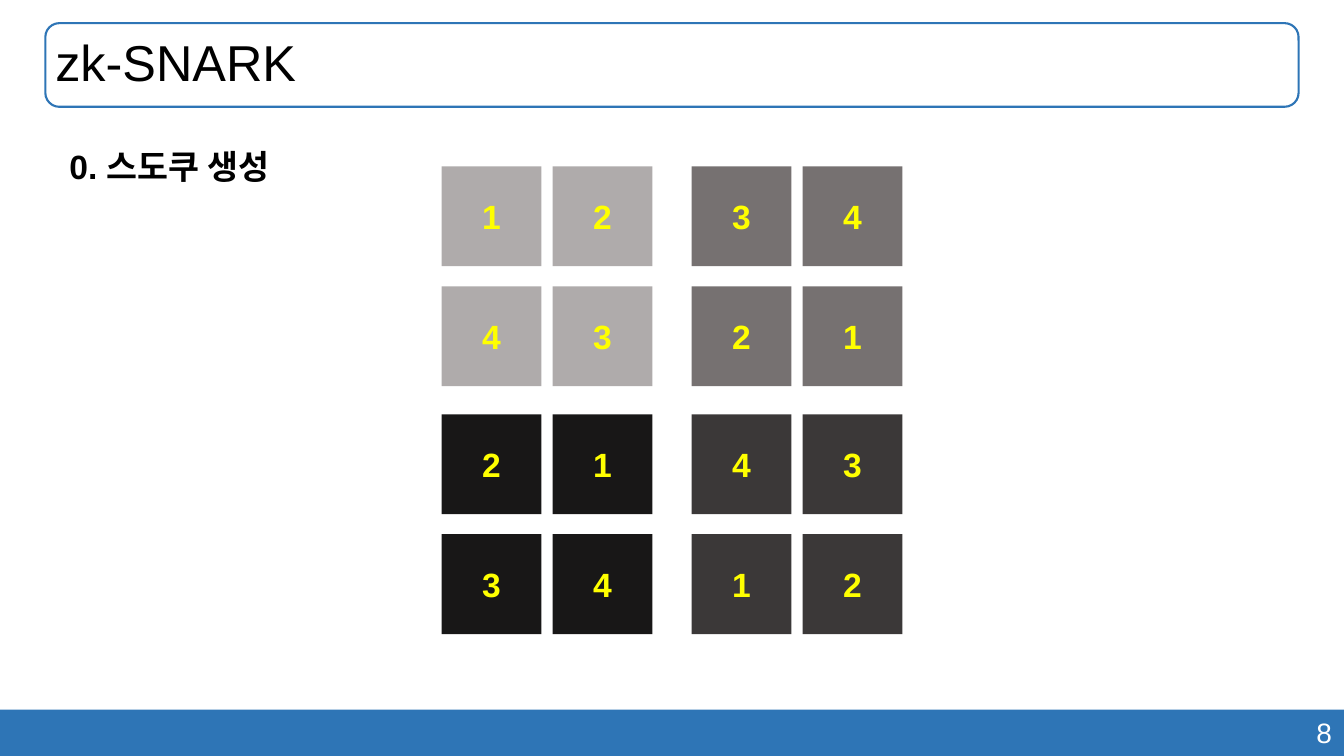
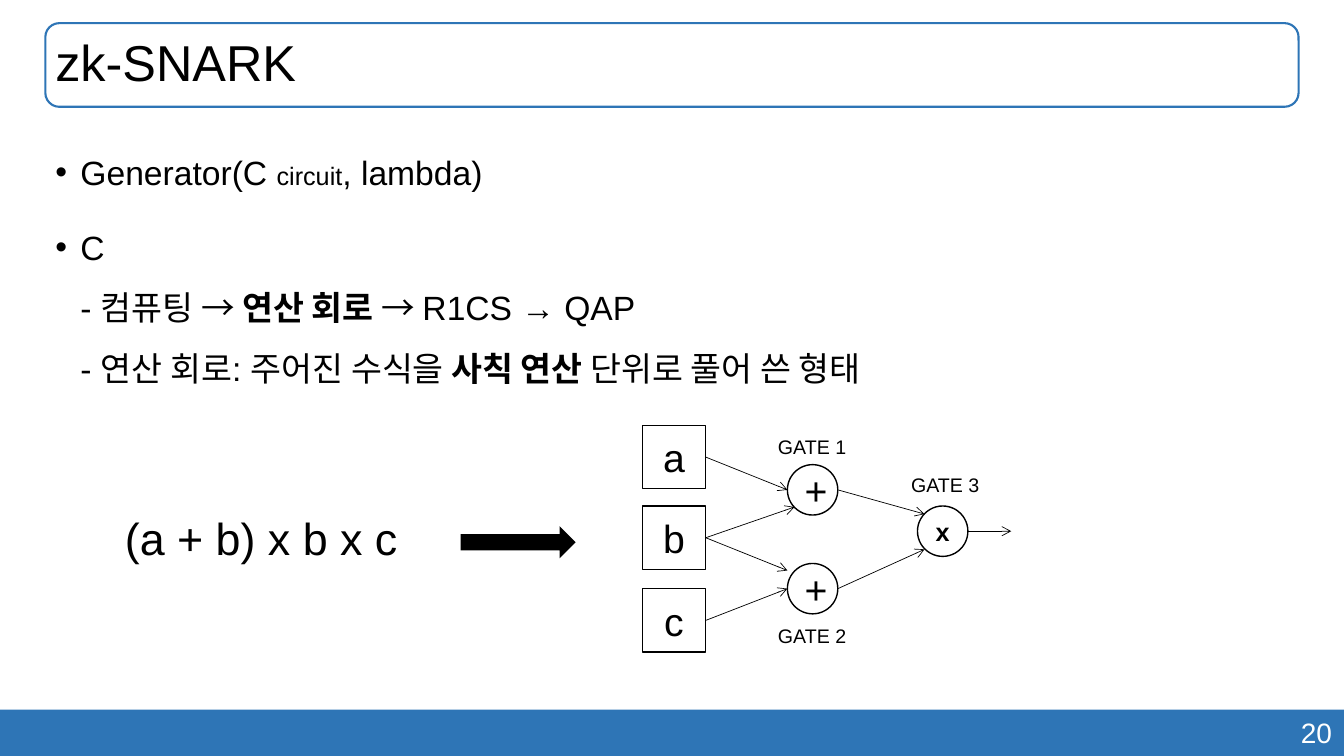
import pptx
import pptx.util
import pptx.dml.color
import pptx.enum.shapes
import pptx.enum.text
import pptx.oxml
import pptx.oxml.ns
import lxml.etree

Inches, Pt = pptx.util.Inches, pptx.util.Pt
MSO = pptx.enum.shapes.MSO_SHAPE
ALIGN = pptx.enum.text.PP_ALIGN
rgb = pptx.dml.color.RGBColor.from_string
qn = pptx.oxml.ns.qn

BLUE, BLACK, WHITE, YELLOW = "2E75B6", "000000", "FFFFFF", "FFFF00"
FONT = "Arial"


def write(p, text, size=24, color=BLACK, bold=False, align=None):
    """Add text to a paragraph; a newline becomes a line break."""
    if align is not None:
        p.alignment = align
    for i, line in enumerate(text.split("\n")):
        if i:
            p.add_line_break()
        if line:
            r = p.add_run()
            r.text = line
            r.font.name, r.font.size, r.font.bold = FONT, Pt(size), bold
            r.font.color.rgb = rgb(color)


def add_shape(s, kind, x, y, w, h, fill=None, line=None, width=1):
    """Add a preset shape without shadow."""
    sp = s.shapes.add_shape(kind, Inches(x), Inches(y), Inches(w), Inches(h))
    sp.shadow.inherit = False
    if fill:
        sp.fill.solid()
        sp.fill.fore_color.rgb = rgb(fill)
    else:
        sp.fill.background()
    if line:
        sp.line.color.rgb = rgb(line)
        sp.line.width = Pt(width)
    else:
        sp.line.fill.background()
    return sp


prs = pptx.Presentation()
prs.slide_width, prs.slide_height = Inches(13.33), Inches(7.5)

# Shared frame: footer band, page number, title
slides = []
for number in ("8", "20"):
    s = prs.slides.add_slide(prs.slide_layouts[6])
    add_shape(s, MSO.RECTANGLE, 0, 7.04, 13.33, 0.46, fill=BLUE)
    tf = s.shapes.add_textbox(Inches(9.41), Inches(7.05), Inches(3.9), Inches(0.44)).text_frame
    tf.word_wrap = True
    write(tf.paragraphs[0], number, size=20, color=WHITE, align=ALIGN.RIGHT)

    add_shape(s, MSO.ROUNDED_RECTANGLE, 0.45, 0.23, 12.43, 0.83, line=BLUE, width=1.5)
    tf = s.shapes.add_textbox(Inches(0.45), Inches(0.23), Inches(12.43), Inches(0.83)).text_frame
    tf.word_wrap = True
    tf.vertical_anchor = pptx.enum.text.MSO_ANCHOR.MIDDLE
    tf.paragraphs[0].line_spacing = 0.9
    write(tf.paragraphs[0], "zk-SNARK", size=36)
    slides.append(s)
sudoku, circuit = slides

# Sudoku: 2 x 2 blocks of 2 x 2 cells
tf = sudoku.shapes.add_textbox(Inches(0.59), Inches(1.4), Inches(2.35), Inches(0.5)).text_frame
write(tf.paragraphs[0], "0. 스도쿠 생성", bold=True)

block_fills = [["AFABAB", "767171"], ["181717", "3B3838"]]
for row, digits in enumerate(["1234", "4321", "2143", "3412"]):
    for col, digit in enumerate(digits):
        x = 4.38 + col // 2 * 2.48 + col % 2 * 1.1
        y = 1.65 + row // 2 * 2.46 + row % 2 * 1.19
        sp = add_shape(sudoku, MSO.RECTANGLE, x, y, 0.99, 0.99, fill=block_fills[row // 2][col // 2])
        write(sp.text_frame.paragraphs[0], digit, color=YELLOW, bold=True, align=ALIGN.CENTER)

# Circuit: bullets, each a list of (text, size, bold)
bullets = [
    [("Generator(C ", 24, False), ("circuit", 18, False), (", lambda)", 24, False)],
    [("C\n- 컴퓨팅 → ", 24, False), ("연산 회로 ", 24, True),
     ("→ R1CS → QAP\n- 연산 회로: 주어진 수식을 ", 24, False),
     ("사칙 연산 ", 24, True), ("단위로 풀어 쓴 형태", 24, False)],
]
tf = circuit.shapes.add_textbox(Inches(0.45), Inches(1.26), Inches(12.43), Inches(2.71)).text_frame
tf.word_wrap = True
for i, runs in enumerate(bullets):
    p = tf.add_paragraph() if i else tf.paragraphs[0]
    p.line_spacing = 1.5
    if i:
        p.space_before = Pt(10)
    pPr = p._p.get_or_add_pPr()
    pPr.set("marL", str(Inches(0.25)))
    pPr.set("indent", str(-Inches(0.25)))
    lxml.etree.SubElement(pPr, qn("a:buFont")).set("typeface", FONT)
    lxml.etree.SubElement(pPr, qn("a:buChar")).set("char", "•")
    for text, size, bold in runs:
        write(p, text, size=size, bold=bold)

# Formula and block arrow
tf = circuit.shapes.add_textbox(Inches(1.14), Inches(5.02), Inches(2.93), Inches(0.64)).text_frame
write(tf.paragraphs[0], "(a + b) x b x c", size=32)
add_shape(circuit, MSO.RIGHT_ARROW, 4.57, 5.22, 1.14, 0.32, fill=BLACK)

# Inputs
inputs = {}
for name, y in (("a", 4.22), ("b", 5.02), ("c", 5.84)):
    inputs[name] = add_shape(circuit, MSO.RECTANGLE, 6.37, y, 0.63, 0.63, line=BLACK)
    write(inputs[name].text_frame.paragraphs[0], name, size=28, align=ALIGN.CENTER)

# Gates with their labels
gates = [
    ("GATE 1", "+", 28, False, 7.81, 4.61, 7.61, 4.27),
    ("GATE 2", "+", 28, False, 7.81, 5.59, 7.61, 6.14),
    ("GATE 3", "x", 18, True, 9.1, 5.02, 8.93, 4.64),
]
for label, sign, size, bold, x, y, label_x, label_y in gates:
    sp = add_shape(circuit, MSO.OVAL, x, y, 0.5, 0.5, line=BLACK)
    write(sp.text_frame.paragraphs[0], sign, size=size, bold=bold, align=ALIGN.CENTER)
    tf = circuit.shapes.add_textbox(Inches(label_x), Inches(label_y), Inches(0.89), Inches(0.34)).text_frame
    write(tf.paragraphs[0], label, size=14, align=ALIGN.CENTER)

# Wires: input name or None, start, end
wires = [
    ("a", 7, 4.54, 7.81, 4.86),
    ("b", 7, 5.34, 7.88, 5.03),
    ("b", 7, 5.34, 7.81, 5.66),
    ("c", 7, 6.16, 7.81, 5.84),
    (None, 8.31, 4.86, 9.17, 5.1),
    (None, 8.31, 5.84, 9.17, 5.45),
    (None, 9.6, 5.27, 10.03, 5.27),
]
for name, x1, y1, x2, y2 in wires:
    c = circuit.shapes.add_connector(pptx.enum.shapes.MSO_CONNECTOR.STRAIGHT,
                                     Inches(x1), Inches(y1), Inches(x2), Inches(y2))
    if name:
        c.begin_connect(inputs[name], 3)
    c.line.color.rgb = rgb(BLACK)
    c.line.width = Pt(0.5)
    spPr = c._element.spPr
    lxml.etree.SubElement(spPr.find(qn("a:ln")), qn("a:tailEnd")).set("type", "arrow")
    lxml.etree.SubElement(spPr, qn("a:effectLst"))

prs.save("out.pptx")
